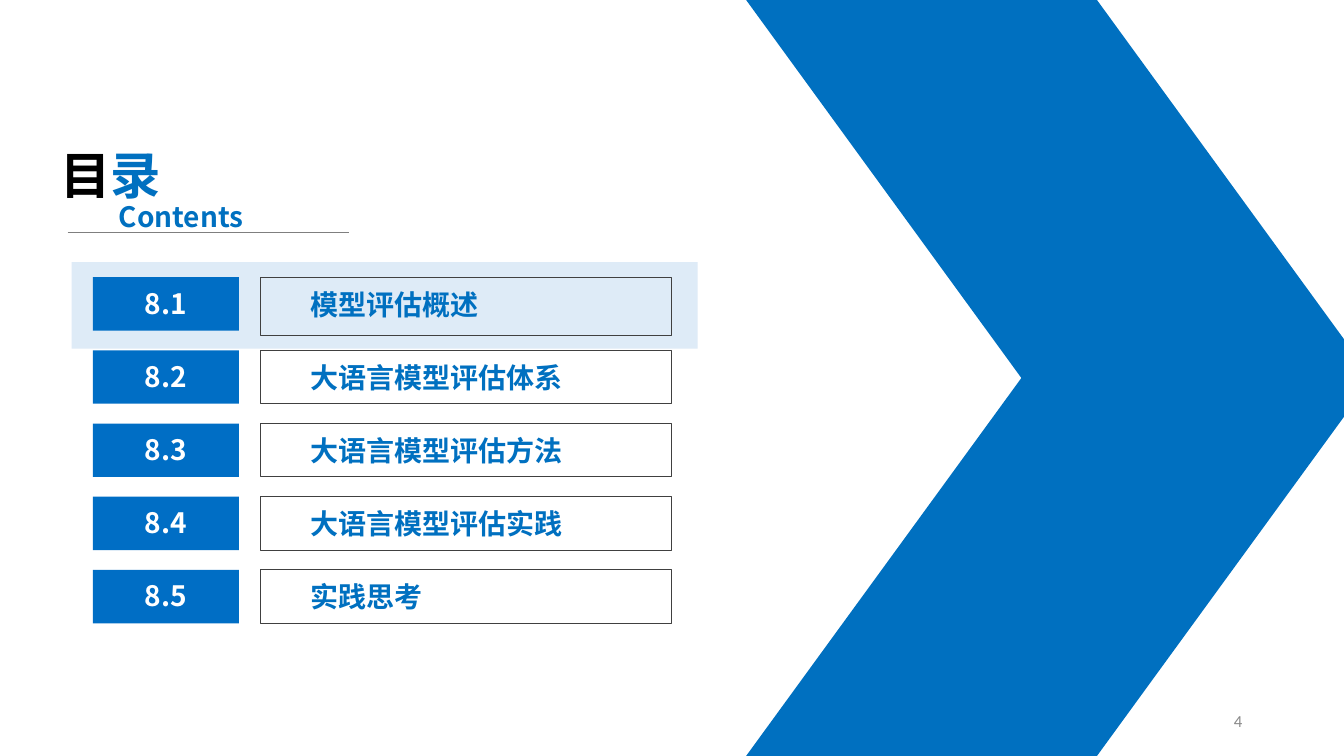
from lxml import etree
from pptx import Presentation
from pptx.dml.color import RGBColor
from pptx.enum.shapes import MSO_CONNECTOR, MSO_SHAPE
from pptx.enum.text import MSO_ANCHOR, PP_ALIGN
from pptx.oxml.ns import qn
from pptx.util import Inches, Pt

W, H = 13.33, 7.5
CJK = "Noto Sans CJK SC"
BLUE, BADGE, PALE = "0070C0", "006EC5", "DEEBF7"
CHAPTERS = ["模型评估概述", "大语言模型评估体系", "大语言模型评估方法",
            "大语言模型评估实践", "实践思考"]


def color(value):
    return RGBColor.from_string(value)


def add_block(s, box, fill=None, line=None, kind=MSO_SHAPE.RECTANGLE):
    sp = s.shapes.add_shape(kind, *map(Inches, box))
    sp.shadow.inherit = False
    if fill:
        sp.fill.solid()
        sp.fill.fore_color.rgb = color(fill)
    else:
        sp.fill.background()
    if line:
        sp.line.color.rgb = color(line)
        sp.line.width = Pt(0.75)
    else:
        sp.line.fill.background()
    return sp


def add_text(s, box, runs, size=20, font=CJK, bold=True,
             align=PP_ALIGN.LEFT, anchor=MSO_ANCHOR.TOP):
    """Add one line of text from (text, colour) runs."""
    tf = s.shapes.add_textbox(*map(Inches, box)).text_frame
    tf.word_wrap = True
    tf.vertical_anchor = anchor
    p = tf.paragraphs[0]
    p.alignment = align
    for text, hue in runs:
        r = p.add_run()
        r.text = text
        r.font.size, r.font.bold, r.font.name = Pt(size), bold, font
        r.font.color.rgb = color(hue)
        etree.SubElement(r.font._element, qn("a:ea")).set("typeface", font)


def add_chevron(s, x, y, w, h):
    """Stack two mirrored parallelograms into an arrow pointing right."""
    half = h / 2
    for top, flipped in ((y + half, False), (y, True)):
        sp = add_block(s, (x, top, w, half), BLUE, kind=MSO_SHAPE.PARALLELOGRAM)
        sp.adjustments[0] = 0.728
        if flipped:
            sp._element.spPr.find(qn("a:xfrm")).set("flipV", "1")


def add_heading(s, x, y, w):
    add_text(s, (x, y, 1.57, 0.71), [("目", "000000"), ("录", BLUE)], size=36)
    rule_y = Inches(y + 0.93)
    rule = s.shapes.add_connector(MSO_CONNECTOR.STRAIGHT, Inches(x + 0.17),
                                  rule_y, Inches(x + w), rule_y)
    rule.line.color.rgb = color("7F7F7F")
    rule.line.width = Pt(0.5)
    etree.SubElement(rule._element.spPr, qn("a:effectLst"))
    add_text(s, (x + 0.58, y + 0.55, 1.57, 0.44), [("Contents", BLUE)])


def add_chapter(s, x, y, w, number, title, current):
    badge_w, title_x, row_h = 1.45, x + 1.66, 0.53
    title_w = x + w - title_x
    frame_h = 0.58 if current else row_h
    add_block(s, (title_x, y, title_w, frame_h), line="404040")
    add_text(s, (title_x + 0.4, y + 0.05, title_w - 0.4, 0.44), [(title, BLUE)])
    add_block(s, (x, y, badge_w, row_h), BADGE)
    add_text(s, (x + 0.2, y + 0.04, badge_w - 0.4, 0.44), [(number, "FFFFFF")],
             align=PP_ALIGN.CENTER)


def add_chapters(s, x, y, w, h, current=0):
    """Spread the chapters evenly over the box and highlight the current one."""
    pitch = h / len(CHAPTERS)
    add_block(s, (x - 0.21, y + current * pitch - 0.15, w + 0.47, 0.86), PALE)
    add_chevron(s, 7.4, 0, 6.21, H)
    for i, title in enumerate(CHAPTERS):
        add_chapter(s, x, y + i * pitch, w, f"8.{i + 1}", title, i == current)


def main():
    prs = Presentation()
    prs.slide_width, prs.slide_height = Inches(W), Inches(H)
    s = prs.slides.add_slide(prs.slide_layouts[6])
    add_chapters(s, 0.92, 2.75, 5.74, 3.63)
    add_heading(s, 0.5, 1.38, 2.96)
    add_text(s, (9.42, 6.95, 3, 0.4), [("4", "898989")], size=12, font="Calibri",
             bold=False, align=PP_ALIGN.RIGHT, anchor=MSO_ANCHOR.MIDDLE)
    prs.save("out.pptx")


if __name__ == "__main__":
    main()
